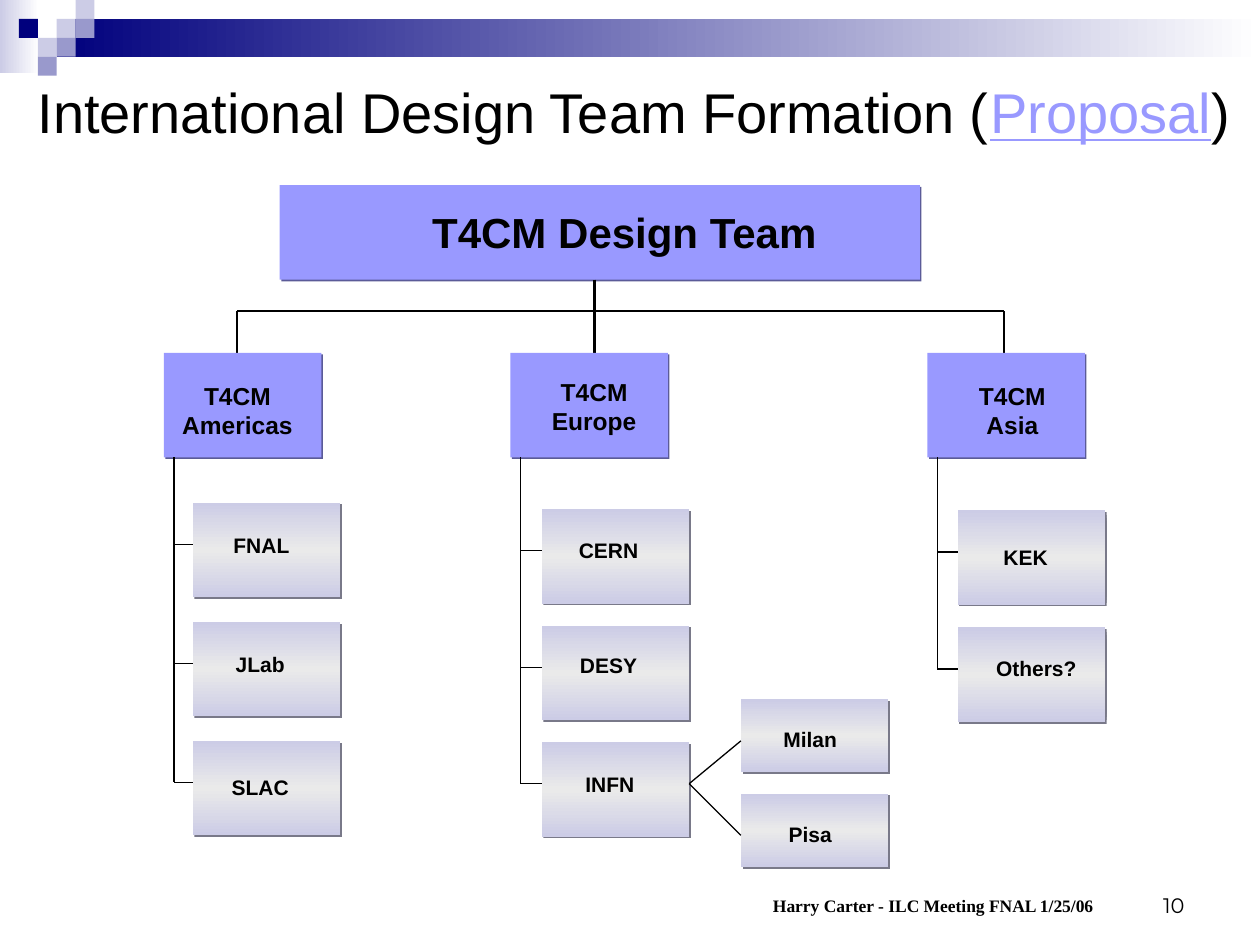
from lxml import etree
from pptx import Presentation
from pptx import util as u
from pptx.dml.color import RGBColor
from pptx.enum import shapes, text
from pptx.oxml.ns import qn

BLACK = RGBColor(0x00, 0x00, 0x00)
WHITE = RGBColor(0xFF, 0xFF, 0xFF)
NAVY = RGBColor(0x00, 0x00, 0x7D)
PALE = RGBColor(0xCC, 0xCC, 0xE6)
MUTED = RGBColor(0x99, 0x99, 0xCC)
VIOLET = RGBColor(0x99, 0x99, 0xFF)
SILVER = RGBColor(0xEA, 0xEA, 0xEA)
VIOLET_SHADE = RGBColor(0x5B, 0x5B, 0x98)
GREY_SHADE = RGBColor(0x79, 0x79, 0x89)

TITLE = [("International Design Team Formation (", BLACK, False),
         ("Proposal", VIOLET, True), (")", BLACK, False)]
FOOTER = "Harry Carter - ILC Meeting FNAL 1/25/06"
PAGE = "10"

# Header mosaic: column, row, colour
TILE = 0.15
MOSAIC = [(3, 1, PALE), (4, 0, PALE), (4, 1, MUTED), (2, 2, PALE),
          (1, 1, NAVY), (3, 2, MUTED), (2, 3, MUTED)]

# Label boxes are (left, top, width); members are (name, label box)
BRANCHES = [
    {"name": "T4CM Americas", "left": 1.3, "label": (1.3, 2.97, 1.17),
     "drop": 1.88, "drop_width": 0.75, "rail": 1.38, "rail_width": 1.5,
     "members_left": 1.53, "members_top": 3.99, "pitch": 0.945,
     "members": [("FNAL", (1.45, 4.18, 1.25)), ("JLab", (1.44, 5.12, 1.25)),
                 ("SLAC", (1.44, 6.1, 1.25))]},
    {"name": "T4CM Europe", "left": 4.05, "label": (4.14, 2.94, 1.15),
     "drop": 4.72, "drop_width": 1.5, "rail": 4.13, "rail_width": 0.75,
     "members_left": 4.3, "members_top": 4.04, "pitch": 0.925,
     "members": [("CERN", (4.37, 4.22, 0.92)), ("DESY", (4.29, 5.13, 1.08)),
                 ("INFN", (4.38, 6.07, 0.92))]},
    {"name": "T4CM Asia", "left": 7.36, "label": (7.45, 2.97, 1.17),
     "drop": 7.97, "drop_width": 1.5, "rail": 7.44, "rail_width": 0.75,
     "members_left": 7.6, "members_top": 4.05, "pitch": 0.93,
     "members": [("KEK", (7.6, 4.27, 1.08)), ("Others?", (7.6, 5.15, 1.25))]},
]
SITES = [("Milan", 5.55), ("Pisa", 6.3)]

TEAM = (2.22, 1.47, 5.08, 0.75)
BUS_Y = 2.47
BRANCH_TOP, BRANCH_W, BRANCH_H = 2.8, 1.25, 0.83
MEMBER_W, MEMBER_H = 1.17, 0.75
SITE_LEFT, SITE_H = 5.88, 0.58
STUB_DROP = 0.33  # from a box's top to the line that meets it


def inches(*values):
    return [u.Inches(v) for v in values]


def add_box(s, box, fill, shade=None):
    """fill is one colour, or (angle, colours) for an even gradient."""
    sp = s.shapes.add_shape(shapes.MSO_SHAPE.RECTANGLE, *inches(*box))
    sp.shadow.inherit = False
    sp.line.fill.background()
    if isinstance(fill, RGBColor):
        sp.fill.solid()
        sp.fill.fore_color.rgb = fill
    else:
        set_gradient(sp, *fill)
    if shade is not None:
        effects = sp._element.spPr.find(qn("a:effectLst"))
        shadow = etree.SubElement(effects, qn("a:outerShdw"), blurRad="0",
                                  dist=str(u.Pt(1.4)), dir=str(45 * 60000),
                                  algn="ctr", rotWithShape="0")
        etree.SubElement(shadow, qn("a:srgbClr"), val=str(shade))
    return sp


def set_gradient(sp, angle, colours):
    sp.fill.gradient()
    grad = sp._element.spPr.find(qn("a:gradFill"))
    for child in list(grad):
        grad.remove(child)
    stops = etree.SubElement(grad, qn("a:gsLst"))
    for i, colour in enumerate(colours):
        pos = 100000 * i // (len(colours) - 1)
        stop = etree.SubElement(stops, qn("a:gs"), pos=str(pos))
        etree.SubElement(stop, qn("a:srgbClr"), val=str(colour))
    etree.SubElement(grad, qn("a:lin"), ang=str(angle * 60000), scaled="0")


def add_line(s, x1, y1, x2, y2, width=0.75):
    line = s.shapes.add_connector(shapes.MSO_CONNECTOR.STRAIGHT,
                                  *inches(x1, y1, x2, y2))
    line.line.color.rgb = BLACK
    line.line.width = u.Pt(width)
    etree.SubElement(line._element.spPr, qn("a:effectLst"))


def add_text(s, box, runs, size, font="Arial", bold=True,
             align=text.PP_ALIGN.CENTER, anchor=text.MSO_ANCHOR.MIDDLE):
    """runs is a string, or a list of (string, colour, underlined)."""
    if isinstance(runs, str):
        runs = [(runs, BLACK, False)]
    tf = s.shapes.add_textbox(*inches(*box)).text_frame
    tf.word_wrap = True
    tf.vertical_anchor = anchor
    p = tf.paragraphs[0]
    p.alignment = align
    for words, colour, underlined in runs:
        r = p.add_run()
        r.text = words
        r.font.name, r.font.size, r.font.bold = font, u.Pt(size), bold
        r.font.color.rgb = colour
        r.font.underline = underlined
    return p


def add_header(s):
    add_box(s, (0, 0, 0.31, 0.58), (180, [WHITE, PALE]))
    add_box(s, (3 * TILE, TILE, 10 - 3 * TILE, 2 * TILE), (180, [WHITE, NAVY]))
    for col, row, colour in MOSAIC:
        add_box(s, (col * TILE, row * TILE, TILE, TILE), colour)
    add_text(s, (0.2, 0.52, 9.8, 0.73), TITLE, 32, bold=False,
             align=text.PP_ALIGN.LEFT)


def add_member(s, box, name, label):
    add_box(s, box, (90, [PALE, SILVER, PALE]), GREY_SHADE)
    add_text(s, (*label, 0.3), name, 12)


def add_branch(s, b):
    branch_bottom = BRANCH_TOP + BRANCH_H
    add_line(s, b["drop"], BUS_Y, b["drop"], BRANCH_TOP, b["drop_width"])
    add_box(s, (b["left"], BRANCH_TOP, BRANCH_W, BRANCH_H), VIOLET, VIOLET_SHADE)
    add_text(s, (*b["label"], 0.57), b["name"], 14)
    for i, (name, label) in enumerate(b["members"]):
        top = b["members_top"] + i * b["pitch"]
        stub_y = top + STUB_DROP
        add_member(s, (b["members_left"], top, MEMBER_W, MEMBER_H), name, label)
        add_line(s, b["members_left"], stub_y, b["rail"], stub_y)
    add_line(s, b["rail"], branch_bottom, b["rail"], stub_y, b["rail_width"])
    return b["members_left"] + MEMBER_W, stub_y


def main():
    prs = Presentation()
    prs.slide_width, prs.slide_height = inches(10, 7.5)
    s = prs.slides.add_slide(prs.slide_layouts[6])
    add_header(s)

    europe = BRANCHES[1]
    add_box(s, TEAM, VIOLET, VIOLET_SHADE)
    add_text(s, (2.61, 1.59, 4.69, 0.5), "T4CM Design Team", 24)
    add_line(s, europe["drop"], TEAM[1] + TEAM[3], europe["drop"], BUS_Y, 1.5)
    add_line(s, BRANCHES[0]["drop"], BUS_Y, BRANCHES[-1]["drop"], BUS_Y, 1.5)

    fork = {b["name"]: add_branch(s, b) for b in BRANCHES}[europe["name"]]
    for name, top in SITES:
        add_member(s, (SITE_LEFT, top, MEMBER_W, SITE_H), name,
                   (SITE_LEFT + 0.09, top + 0.17, 0.92))
        add_line(s, *fork, SITE_LEFT, top + STUB_DROP)

    bottom = text.MSO_ANCHOR.BOTTOM
    p = add_text(s, (5.71, 6.98, 3.15, 0.34), FOOTER, 10, "Times New Roman",
                 anchor=bottom)
    p._p.get_or_add_pPr().set("marL", str(u.Inches(0.24)))
    add_text(s, (8.86, 6.83, 0.64, 0.5), PAGE, 12, "Montserrat", False,
             text.PP_ALIGN.RIGHT, bottom)
    prs.save("out.pptx")


if __name__ == "__main__":
    main()
